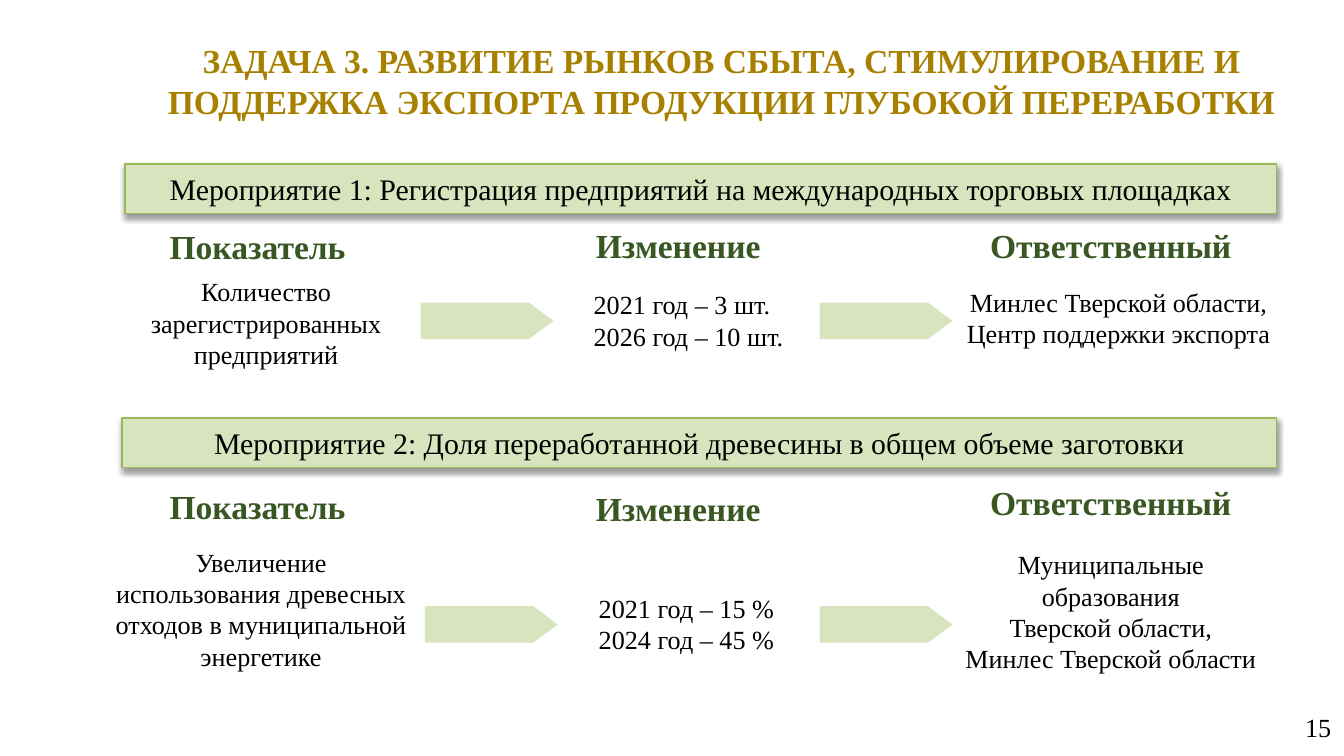
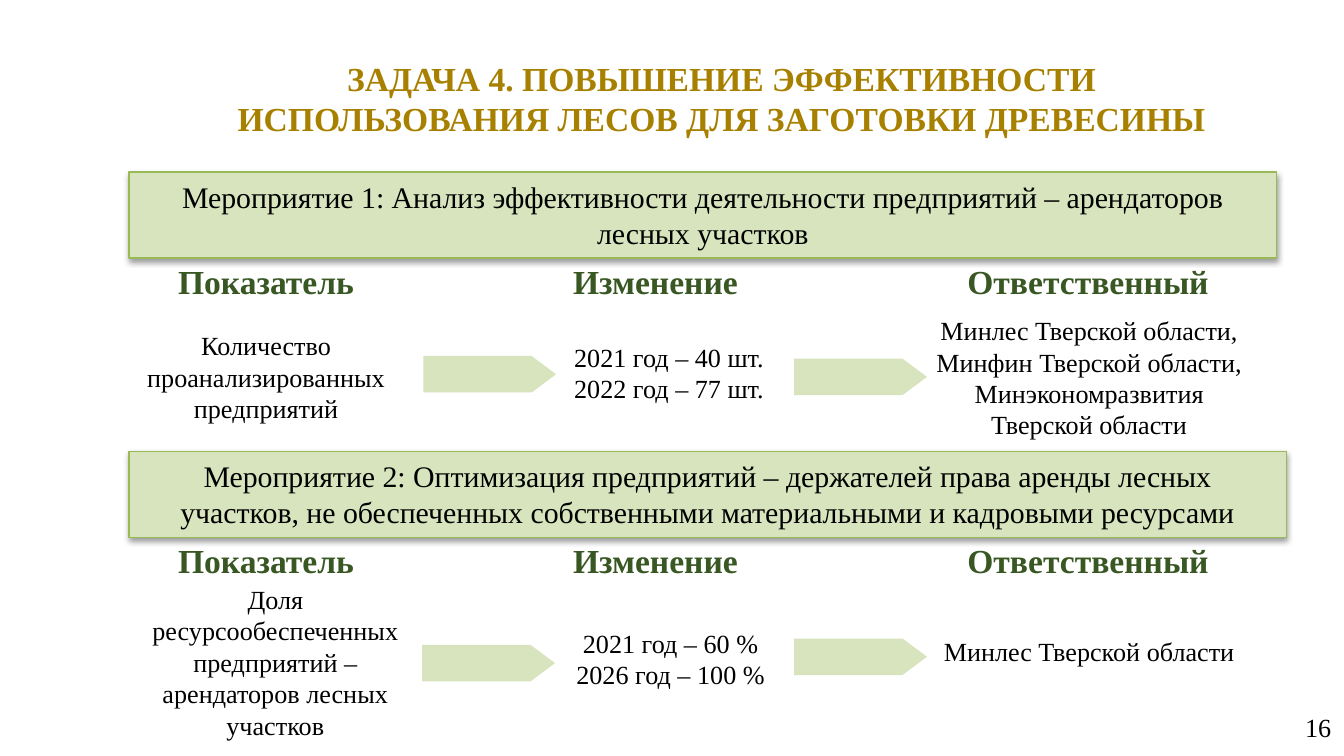
"""Build two slides of forestry tasks: measures with indicator, change and owner."""
from dataclasses import dataclass
from typing import NamedTuple

from lxml import etree
from pptx import Presentation
from pptx import util as u
from pptx.dml.color import RGBColor
from pptx.enum import shapes, text
from pptx.oxml.ns import qn

GOLD = RGBColor(0xA8, 0x80, 0x00)
DARK_GREEN = RGBColor(0x38, 0x57, 0x23)
PALE_GREEN = RGBColor(0xD7, 0xE4, 0xBD)
EDGE_GREEN = RGBColor(0x98, 0xB9, 0x55)
BLACK = RGBColor(0, 0, 0)

FACE = "Times New Roman"
TITLE_FONT = {"name": FACE, "size": u.Pt(18), "bold": True}
HEADING_FONT = TITLE_FONT
BANNER_FONT = {"name": FACE, "size": u.Pt(16), "bold": False}
BODY_FONT = {"name": FACE, "size": u.Pt(14), "bold": False}

CENTER, LEFT, RIGHT = (text.PP_ALIGN.CENTER, text.PP_ALIGN.LEFT, text.PP_ALIGN.RIGHT)
TOP, MIDDLE = text.MSO_ANCHOR.TOP, text.MSO_ANCHOR.MIDDLE


class Frame(NamedTuple):
    """Left, top, width and height in centimetres."""
    left: float
    top: float
    width: float
    height: float

    def lengths(self) -> list:
        """Return the four values as lengths."""
        return [u.Cm(value) for value in self]


class Heading(NamedTuple):
    """A column heading with its box width and right inset."""
    label: str
    width: float
    right_inset: float


class Cell(NamedTuple):
    """The content of one column of a measure."""
    lines: str
    frame: Frame
    align: text.PP_ALIGN = CENTER


@dataclass
class Measure:
    """A banner, three column cells and the arrows between them."""
    banner: str
    banner_frame: Frame
    heading_tops: tuple
    cells: list
    arrows: list


@dataclass
class Task:
    """One slide: a task with its measures."""
    title: str
    title_height: float
    number: str
    heading_lefts: tuple
    measures: list


HEADINGS = (Heading("Показатель", 5.08, 0.41),
            Heading("Изменение", 5.08, 0.57),
            Heading("Ответственный", 5.51, 0.25))
HEADING_HEIGHT = 2.03
ARROW_WIDTH, ARROW_HEIGHT = 2.51, 0.69
NUMBER_FRAME = Frame(19.69, 13.36, 5.72, 0.76)

TASKS = [
    Task("ЗАДАЧА 3. РАЗВИТИЕ РЫНКОВ СБЫТА, СТИМУЛИРОВАНИЕ И ПОДДЕРЖКА ЭКСПОРТА "
         "ПРОДУКЦИИ ГЛУБОКОЙ ПЕРЕРАБОТКИ", 1.83, "15", (2.41, 10.44, 18.24), [
             Measure("Мероприятие 1: Регистрация предприятий на международных торговых площадках",
                     Frame(2.36, 3.1, 21.77, 0.94), (3.63, 3.61, 3.61),
                     [Cell("Количество зарегистрированных предприятий",
                           Frame(2.06, 5.08, 5.94, 2.06)),
                      Cell("2021 год – 3 шт.\n2026 год – 10 шт.",
                           Frame(10.97, 5.33, 4.47, 1.45), LEFT),
                      Cell("Минлес Тверской области, Центр поддержки экспорта",
                           Frame(17.98, 5.28, 6.32, 1.45))],
                     [(7.95, 5.72), (15.49, 5.72)]),
             Measure("Мероприятие 2: Доля переработанной древесины в общем объеме заготовки",
                     Frame(2.31, 7.9, 21.82, 0.94), (8.56, 8.59, 8.48),
                     [Cell("Увеличение использования древесных отходов в муниципальной энергетике",
                           Frame(1.85, 10.19, 6.17, 2.64)),
                      Cell("2021 год – 15 %\n2024 год – 45 %",
                           Frame(10.74, 11.07, 4.47, 1.45)),
                      Cell("Муниципальные образования\nТверской области,\nМинлес Тверской области",
                           Frame(17.86, 10.24, 6.27, 2.64))],
                     [(8.03, 11.46), (15.49, 11.46)])]),
    Task("ЗАДАЧА 4. ПОВЫШЕНИЕ ЭФФЕКТИВНОСТИ\nИСПОЛЬЗОВАНИЯ ЛЕСОВ ДЛЯ ЗАГОТОВКИ ДРЕВЕСИНЫ",
         2.49, "16", (2.57, 10.01, 17.81), [
             Measure("Мероприятие 1: Анализ эффективности деятельности предприятий – "
                     "арендаторов лесных участков",
                     Frame(2.44, 3.25, 21.69, 1.63), (4.29, 4.29, 4.29),
                     [Cell("Количество проанализированных предприятий",
                           Frame(2.34, 6.1, 5.38, 2.06)),
                      Cell("2021 год – 40 шт.\n2022 год – 77 шт.",
                           Frame(10.41, 6.32, 4.47, 1.45)),
                      Cell("Минлес Тверской области,\nМинфин Тверской области,\n"
                           "Минэкономразвития\nТверской области",
                           Frame(16.99, 5.82, 7.19, 2.64))],
                     [(8, 6.73), (15.01, 6.78)]),
             Measure("Мероприятие 2: Оптимизация предприятий – держателей права аренды лесных "
                     "участков, не обеспеченных собственными материальными и кадровыми ресурсами",
                     Frame(2.44, 8.53, 21.87, 1.63), (9.58, 9.58, 9.58),
                     [Cell("Доля ресурсообеспеченных предприятий – арендаторов лесных участков",
                           Frame(2.26, 10.9, 5.89, 3.25)),
                      Cell("2021 год – 60 %\n2026 год – 100 %",
                           Frame(10.44, 11.73, 4.47, 1.45)),
                      Cell("Минлес Тверской области", Frame(16.99, 11.89, 7.19, 0.86))],
                     [(7.98, 12.19), (15.01, 12.07)])]),
]


def write(holder, lines: str, font: dict, color: RGBColor, align=CENTER, anchor=TOP,
          insets=(0.25, 0.13, 0.25, 0.13)) -> None:
    """Fill a shape with paragraphs in one format."""
    frame = holder.text_frame
    frame.text = lines
    frame.word_wrap = True
    frame.auto_size = text.MSO_AUTO_SIZE.NONE
    frame.vertical_anchor = anchor
    for side, inset in zip(("left", "top", "right", "bottom"), insets):
        setattr(frame, f"margin_{side}", u.Cm(inset))
    for paragraph in frame.paragraphs:
        paragraph.alignment = align
        for run in paragraph.runs:
            for key, value in font.items():
                setattr(run.font, key, value)
            run.font.color.rgb = color


def add_label(slide, lines: str, frame: Frame, align=CENTER, anchor=TOP) -> None:
    """Add a body text box."""
    write(slide.shapes.add_textbox(*frame.lengths()), lines, BODY_FONT, BLACK, align, anchor)


def add_block(slide, kind, frame: Frame, fill=None):
    """Add a preset shape without line or shadow."""
    block = slide.shapes.add_shape(kind, *frame.lengths())
    block.shadow.inherit = False
    block.line.fill.background()
    if fill is None:
        block.fill.background()
    else:
        block.fill.solid()
        block.fill.fore_color.rgb = fill
    return block


def add_banner(slide, caption: str, frame: Frame) -> None:
    """Add the outlined, shadowed band that names a measure."""
    banner = add_block(slide, shapes.MSO_SHAPE.RECTANGLE, frame, PALE_GREEN)
    banner.line.color.rgb = EDGE_GREEN
    banner.line.width = u.Pt(0.75)
    effects = banner._element.spPr.find(qn("a:effectLst"))
    shadow = etree.SubElement(effects, qn("a:outerShdw"), blurRad="40000", dist="20000",
                              dir="5400000", rotWithShape="0")
    tint = etree.SubElement(shadow, qn("a:srgbClr"), val="000000")
    etree.SubElement(tint, qn("a:alpha"), val="38000")
    write(banner, caption, BANNER_FONT, BLACK)


def add_heading(slide, heading: Heading, left: float, top: float) -> None:
    """Add a column heading."""
    frame = Frame(left, top, heading.width, HEADING_HEIGHT)
    block = add_block(slide, shapes.MSO_SHAPE.ROUNDED_RECTANGLE, frame)
    write(block, heading.label, HEADING_FONT, DARK_GREEN, anchor=MIDDLE,
          insets=(0.25, 0.13, heading.right_inset, 0.13))


def add_arrow(slide, left: float, top: float) -> None:
    """Add an arrow between two columns."""
    frame = Frame(left, top, ARROW_WIDTH, ARROW_HEIGHT)
    arrow = add_block(slide, shapes.MSO_SHAPE.PENTAGON, frame, PALE_GREEN)
    arrow.adjustments[0] = 0.67


def add_measure(slide, measure: Measure, heading_lefts: tuple) -> None:
    """Draw one measure with its columns."""
    add_banner(slide, measure.banner, measure.banner_frame)
    for heading, left, top in zip(HEADINGS, heading_lefts, measure.heading_tops):
        add_heading(slide, heading, left, top)
    for left, top in measure.arrows:
        add_arrow(slide, left, top)
    for cell in measure.cells:
        add_label(slide, *cell)


def add_task(deck, task: Task) -> None:
    """Add the slide of one task."""
    slide = deck.slides.add_slide(deck.slide_layouts[5])
    title = slide.shapes.title
    title_frame = Frame(2.03, 0.61, 23.22, task.title_height)
    for key, value in zip(Frame._fields, title_frame.lengths()):
        setattr(title, key, value)
    write(title, task.title, TITLE_FONT, GOLD, anchor=MIDDLE, insets=(0.18, 0.1, 0.18, 0.1))
    add_label(slide, task.number, NUMBER_FRAME, RIGHT, MIDDLE)
    for measure in task.measures:
        add_measure(slide, measure, task.heading_lefts)


def main() -> None:
    """Build and save the deck."""
    deck = Presentation()
    deck.slide_width, deck.slide_height = u.Cm(25.4), u.Cm(14.29)
    for task in TASKS:
        add_task(deck, task)
    deck.save("out.pptx")


if __name__ == "__main__":
    main()
